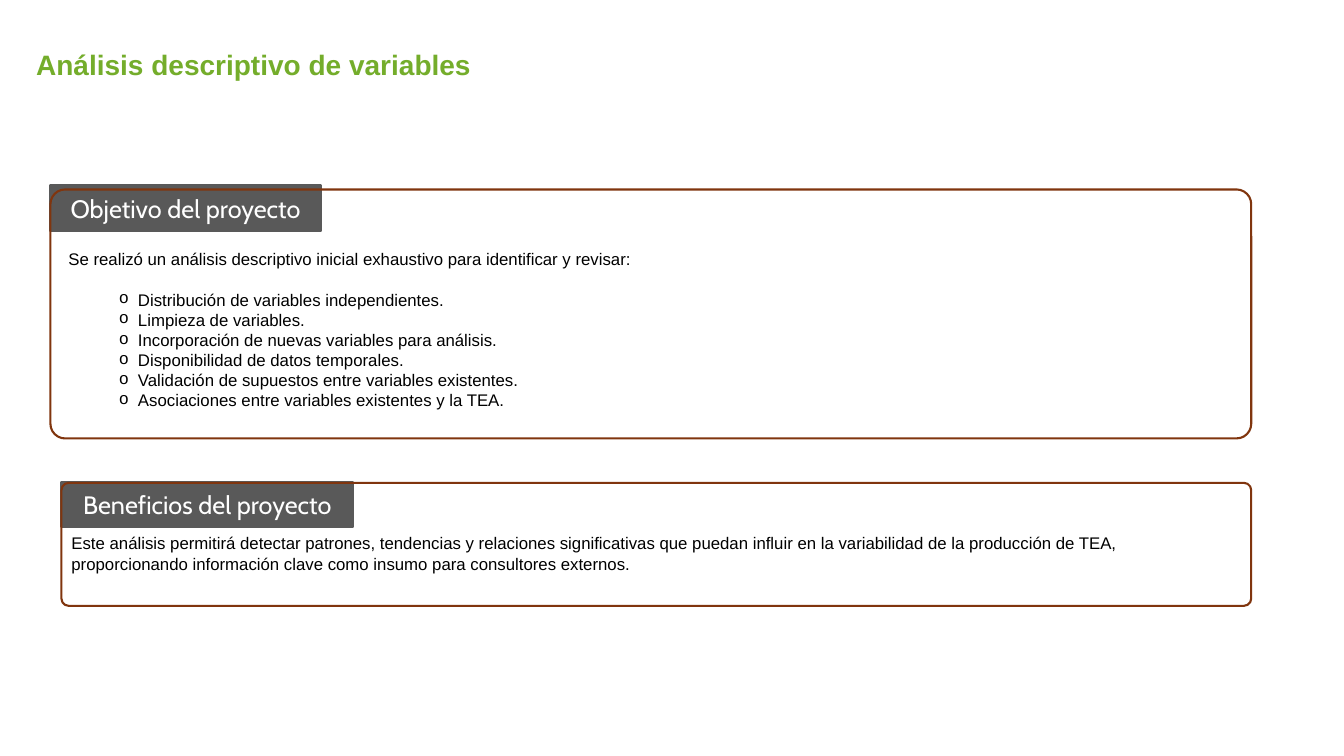
from lxml import etree
from pptx import Presentation
from pptx.dml.color import RGBColor
from pptx.enum.shapes import MSO_SHAPE
from pptx.enum.text import MSO_ANCHOR, PP_ALIGN
from pptx.oxml.ns import qn
from pptx.util import Inches, Pt

RECT, ROUND = MSO_SHAPE.RECTANGLE, MSO_SHAPE.ROUNDED_RECTANGLE
MIDDLE, CENTER = MSO_ANCHOR.MIDDLE, PP_ALIGN.CENTER
GREEN = RGBColor(0x74, 0xAD, 0x2B)
GRAY = RGBColor(0x59, 0x59, 0x59)
BROWN = RGBColor(0x80, 0x35, 0x0E)
WHITE = RGBColor(0xFF, 0xFF, 0xFF)
BLACK = RGBColor(0, 0, 0)
BODY_FONT, LABEL_FONT, BULLET_FONT = "Arial", "Cabin", "Courier New"
BODY_SIZE = 12
LABEL_H = 0.45

INTRO = "Se realizó un análisis descriptivo inicial exhaustivo para identificar y revisar:"
GOALS = [
    "Distribución de variables independientes.",
    "Limpieza de variables.",
    "Incorporación de nuevas variables para análisis.",
    "Disponibilidad de datos temporales.",
    "Validación de supuestos entre variables existentes.",
    "Asociaciones entre variables existentes y la TEA.",
]
BENEFIT = (
    "Este análisis permitirá detectar patrones, tendencias y relaciones significativas que "
    "puedan influir en la variabilidad de la producción de TEA, proporcionando información "
    "clave como insumo para consultores externos."
)


def add_run(p, text, size, color, font=BODY_FONT, bold=False):
    """Add one formatted run to a paragraph."""
    r = p.add_run()
    r.text = text
    r.font.size, r.font.name, r.font.bold = Pt(size), font, bold
    r.font.color.rgb = color


def add_text(s, x, y, w, h):
    """Add a wrapping text box and return its text frame."""
    tf = s.shapes.add_textbox(Inches(x), Inches(y), Inches(w), Inches(h)).text_frame
    tf.word_wrap = True
    return tf


def add_box(s, kind, x, y, w, h, line, fill=None):
    """Add an outlined preset shape, filled only when a fill is given."""
    sp = s.shapes.add_shape(kind, Inches(x), Inches(y), Inches(w), Inches(h))
    sp.shadow.inherit = False
    sp.line.color.rgb, sp.line.width = line, Pt(1.5)
    if fill is None:
        sp.fill.background()
    else:
        sp.fill.solid()
        sp.fill.fore_color.rgb = fill
    return sp


def set_bullet(p):
    """Give a paragraph a hanging round bullet."""
    pPr = p._p.get_or_add_pPr()
    pPr.set("marL", str(Inches(0.69)))
    pPr.set("indent", str(-Inches(0.19)))
    etree.SubElement(pPr, qn("a:buFont")).set("typeface", BULLET_FONT)
    etree.SubElement(pPr, qn("a:buChar")).set("char", "o")


def add_panel(s, box, label, label_w, label_rise, text_at, text, bullets=()):
    """Draw a labelled rounded panel with its text placed relative to the box."""
    x, y, w, h = box
    tab = add_box(s, RECT, x, y - label_rise, label_w, LABEL_H, GRAY, GRAY)
    tf = tab.text_frame
    tf.vertical_anchor = MIDDLE
    tf.paragraphs[0].alignment = CENTER
    add_run(tf.paragraphs[0], label, 18, WHITE, LABEL_FONT)
    add_box(s, ROUND, x, y, w, h, BROWN).adjustments[0] = 0.059
    dx, dy, text_w, text_h = text_at
    tf = add_text(s, x + dx, y + dy, text_w, text_h)
    add_run(tf.paragraphs[0], text, BODY_SIZE, BLACK)
    for i, bullet in enumerate(bullets):
        p = tf.add_paragraph()
        if i == 0:
            p.space_before = Pt(14.4)
        set_bullet(p)
        add_run(p, bullet, BODY_SIZE, BLACK)


def add_title(s, x, y, w, h):
    """Add the slide title."""
    tf = add_text(s, x, y, w, h)
    add_run(tf.paragraphs[0], "Análisis descriptivo de variables", 20, GREEN, bold=True)


def main():
    """Build and save the slide."""
    prs = Presentation()
    prs.slide_width, prs.slide_height = Inches(13.33), Inches(7.5)
    s = prs.slides.add_slide(prs.slide_layouts[6])
    add_title(s, 0.26, 0.42, 9.94, 0.44)
    add_panel(s, (0.5, 1.88, 11.91, 2.47), "Objetivo del proyecto", 2.68, 0.04,
              (0.08, 0.54, 11.75, 1.72), INTRO, GOALS)
    add_panel(s, (0.61, 4.79, 11.8, 1.22), "Beneficios del proyecto", 2.89, 0.01,
              (0, 0.45, 11.61, 0.5), BENEFIT)
    prs.save("out.pptx")


if __name__ == "__main__":
    main()
